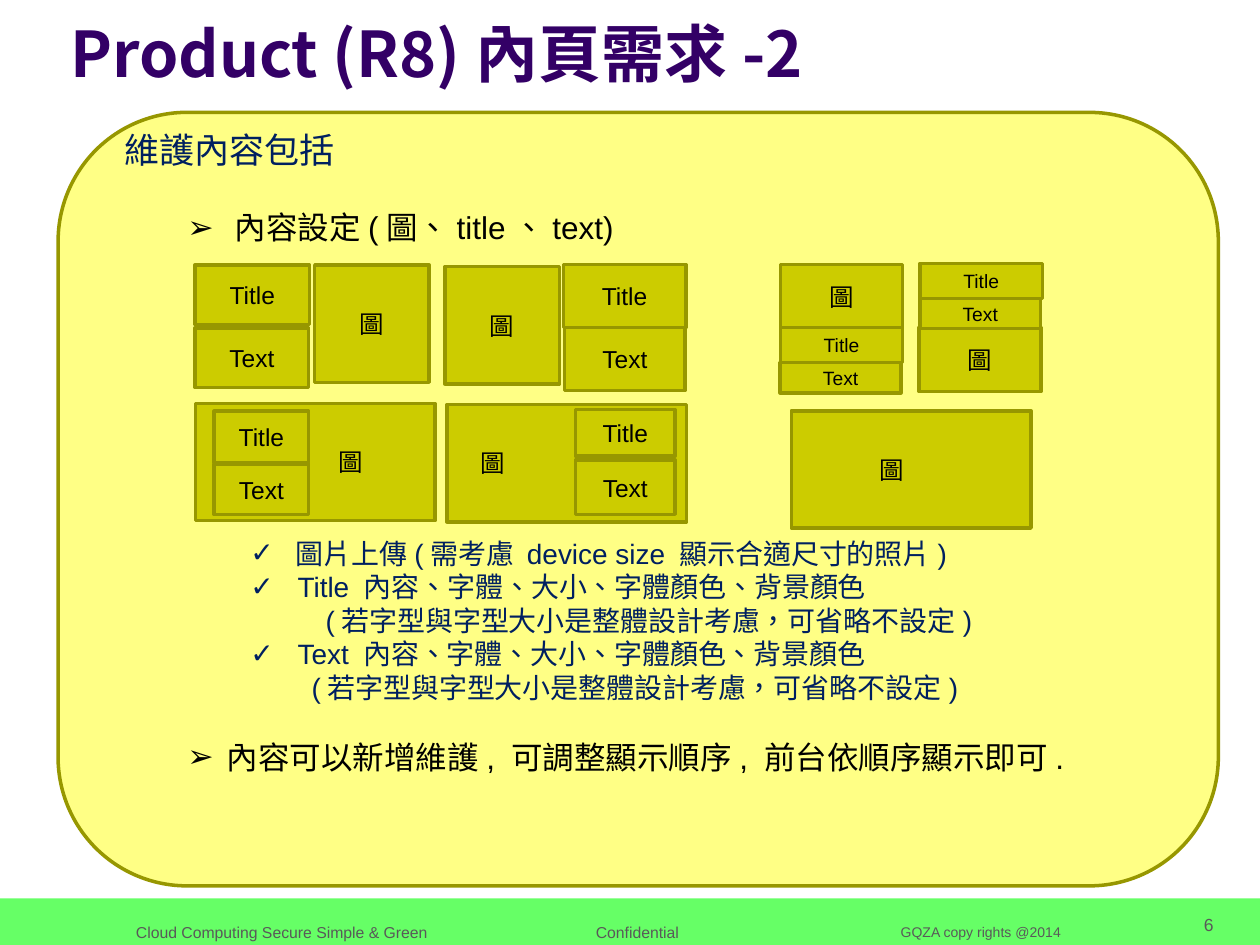
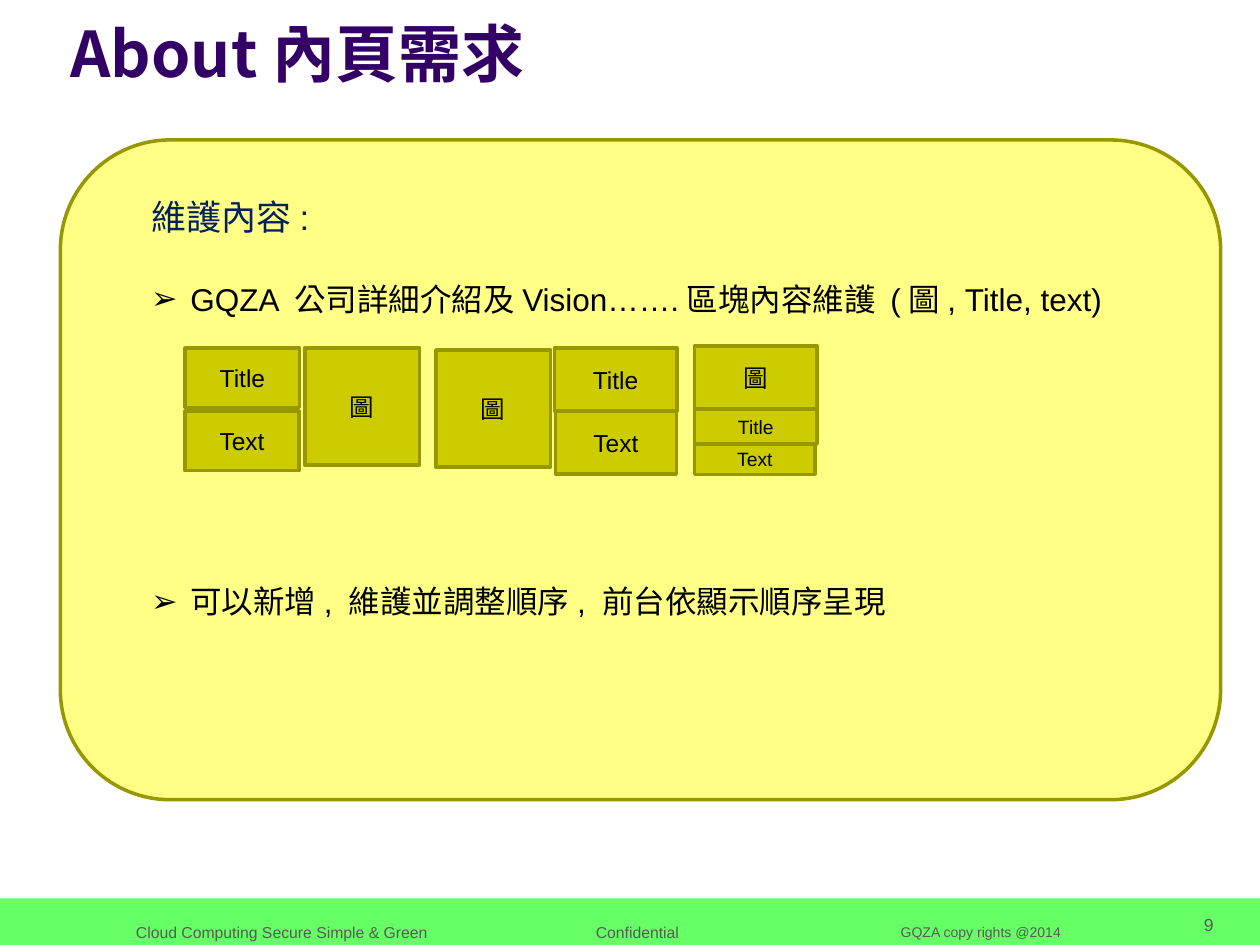
from typing import NamedTuple

from lxml import etree
from pptx import Presentation
from pptx import util as u
from pptx.dml.color import RGBColor
from pptx.enum import lang, shapes, text
from pptx.oxml.ns import qn

Pt = u.Pt
INK, NAVY, PURPLE, GREY = "000000", "002060", "330066", "595959"
GREEN, CREAM, OLIVE, EDGE = "66FF66", "FFFF85", "CCCC00", "979700"
SANS, CJK = "Arial", "Noto Sans CJK SC"
INSET = 7.2
ARROW, CHECK = "➢", "✓"


class Box(NamedTuple):
    x: float
    y: float
    w: float
    h: float


class Line(NamedTuple):
    text: str
    size: float = 18
    color: str = INK
    before: float = 0
    left: float = 0
    hang: float = 0
    bullet: str = ""


class Tile(NamedTuple):
    label: str
    box: Box
    size: float = 14
    shift: float = 0


class Sample(NamedTuple):
    tiles: list[Tile]
    x: float
    y: float


class Footer(NamedTuple):
    label: str
    box: Box
    size: float = 9
    align: text.PP_ALIGN = text.PP_ALIGN.LEFT


class Page(NamedTuple):
    title: str
    number: str
    panel: Box
    body: Box
    lines: list[Line]
    samples: list[Sample]


TEXT_LEFT = [
    Tile("圖", Box(68.4, 0, 65.5, 67)),
    Tile("Title", Box(0, 0, 65.5, 34)),
    Tile("Text", Box(0, 36, 65, 34)),
]
TEXT_RIGHT = [
    Tile("圖", Box(0, 1.2, 65.5, 67)),
    Tile("Title", Box(67.7, 0, 70, 36)),
    Tile("Text", Box(68.4, 36, 69, 36)),
]
TEXT_BELOW = [
    Tile("圖", Box(0, 0, 70, 36.5)),
    Tile("Title", Box(0, 36, 70, 20), 11),
    Tile("Text", Box(0, 56, 69, 17.3), 11),
]
TEXT_ABOVE = [
    Tile("圖", Box(0, 36.7, 70, 36.5)),
    Tile("Title", Box(0.7, 0, 70, 20), 11),
    Tile("Text", Box(0.7, 20, 69, 17.3), 11),
]
INSIDE_LEFT = [
    Tile("圖", Box(0, 0, 137, 67), shift=20),
    Tile("Title", Box(10.8, 4.3, 54, 29.5)),
    Tile("Text", Box(10.8, 34.5, 54, 29)),
]
INSIDE_RIGHT = [
    Tile("圖", Box(0, 0, 137, 67), shift=-42),
    Tile("Title", Box(73.4, 2.9, 57, 26.6)),
    Tile("Text", Box(73.4, 31.7, 57, 31)),
]
IMAGE_ONLY = [Tile("圖", Box(0, 0, 137, 67), shift=-11)]

FOOTERS = [
    Footer("Cloud Computing Secure Simple & Green", Box(70.6, 524, 196, 16)),
    Footer("GQZA copy rights @2014", Box(507.6, 524, 119, 16), 8),
    Footer("Confidential", Box(333.4, 524, 78, 16)),
]

PAGES = [
    Page(
        "Product (R8)內頁需求-2", "6",
        Box(33.2, 64.2, 663, 442), Box(64, 70, 632, 400),
        [
            Line("維護內容包括", 20, NAVY),
            Line("內容設定(圖、title、text)", before=21.6, left=63, hang=27, bullet=ARROW),
            Line("圖片上傳(需考慮 device size 顯示合適尺寸的照片)", 16, NAVY, 165.6, 98, 26, CHECK),
            Line("Title 內容、字體、大小、字體顏色、背景顏色", 16, NAVY, 0, 99, 27, CHECK),
            Line("(若字型與字型大小是整體設計考慮，可省略不設定)", 16, NAVY, 0, 115),
            Line("Text 內容、字體、大小、字體顏色、背景顏色", 16, NAVY, 0, 99, 27, CHECK),
            Line("(若字型與字型大小是整體設計考慮，可省略不設定)", 16, NAVY, 0, 107),
            Line("內容可以新增維護, 可調整顯示順序, 前台依順序顯示即可.",
                 before=19.2, left=58.5, hang=22.5, bullet=ARROW),
        ],
        [
            Sample(TEXT_LEFT, 111.4, 151.5), Sample(TEXT_RIGHT, 254.2, 151.2),
            Sample(TEXT_BELOW, 445.9, 151.2), Sample(TEXT_ABOVE, 525, 150.5),
            Sample(INSIDE_LEFT, 111.6, 230.6), Sample(INSIDE_RIGHT, 255.4, 231.2),
            Sample(IMAGE_ONLY, 452.2, 234.8),
        ],
    ),
    Page(
        "About內頁需求", "9",
        Box(34.5, 80, 663, 377), Box(79.2, 108.4, 572.4, 260),
        [
            Line("維護內容:", 20, NAVY),
            Line("GQZA 公司詳細介紹及Vision…….區塊內容維護 (圖, Title, text)",
                 before=24, left=22.5, hang=22.5, bullet=ARROW),
            Line("可以新增, 維護並調整順序, 前台依顯示順序呈現",
                 before=151.2, left=22.5, hang=22.5, bullet=ARROW),
        ],
        [
            Sample(TEXT_LEFT, 105.8, 198.9), Sample(TEXT_RIGHT, 249.1, 198.8),
            Sample(TEXT_BELOW, 396.9, 197.8),
        ],
    ),
]


def rgb(value: str) -> RGBColor:
    return RGBColor.from_string(value)


def apply(target, **values) -> None:
    for name, value in values.items():
        setattr(target, name, value)


def write(p, label: str, size: float, color: str, font: str = SANS, bold: bool = False) -> None:
    r = p.add_run()
    r.text = label
    apply(r.font, name=font, size=Pt(size), bold=bold,
          language_id=lang.MSO_LANGUAGE_ID.TRADITIONAL_CHINESE)
    r.font.color.rgb = rgb(color)
    if font == CJK:
        etree.SubElement(r.font._element, qn("a:ea")).set("typeface", font)


def place(box: Box) -> list[int]:
    return [Pt(value) for value in box]


def add_box(s, kind, box: Box, fill: str, edge: str = ""):
    sp = s.shapes.add_shape(kind, *place(box))
    sp.shadow.inherit = False
    sp.fill.solid()
    sp.fill.fore_color.rgb = rgb(fill)
    if edge:
        sp.line.color.rgb = rgb(edge)
        sp.line.width = Pt(2)
    else:
        sp.line.fill.background()
    return sp


def add_text_frame(s, box: Box):
    tf = s.shapes.add_textbox(*place(box)).text_frame
    tf.word_wrap = True
    return tf


def add_title(s, label: str) -> None:
    sp = s.shapes.title
    apply(sp, **dict(zip(("left", "top", "width", "height"), place(Box(33.1, 0, 680.4, 55.4)))))
    tf = sp.text_frame
    apply(tf, auto_size=text.MSO_AUTO_SIZE.NONE, word_wrap=True,
          vertical_anchor=text.MSO_ANCHOR.BOTTOM)
    p = tf.paragraphs[0]
    p.alignment = text.PP_ALIGN.LEFT
    write(p, label, 36, PURPLE, CJK, True)


def add_footers(s, number: str) -> None:
    add_box(s, shapes.MSO_SHAPE.RECTANGLE, Box(0, 513.4, 720, 26.6), GREEN)
    page_number = Footer(number, Box(616.3, 519, 84.2, 17.3), 10, text.PP_ALIGN.RIGHT)
    for item in [page_number, *FOOTERS]:
        p = add_text_frame(s, item.box).paragraphs[0]
        p.alignment = item.align
        write(p, item.label, item.size, GREY)


def add_body(s, box: Box, lines: list[Line]) -> None:
    tf = add_text_frame(s, box)
    for i, line in enumerate(lines):
        p = tf.add_paragraph() if i else tf.paragraphs[0]
        apply(p, line_spacing=Pt(line.size * 1.2), space_before=Pt(line.before))
        pr = p._p.get_or_add_pPr()
        pr.set("marL", str(Pt(line.left)))
        pr.set("indent", str(-Pt(line.hang)))
        if line.bullet:
            etree.SubElement(pr, qn("a:buFont")).set("typeface", SANS)
            etree.SubElement(pr, qn("a:buChar")).set("char", line.bullet)
        write(p, line.text, line.size, line.color)


def add_sample(s, sample: Sample) -> None:
    for tile in sample.tiles:
        b = tile.box
        box = Box(sample.x + b.x, sample.y + b.y, b.w, b.h)
        tf = add_box(s, shapes.MSO_SHAPE.RECTANGLE, box, OLIVE, EDGE).text_frame
        apply(tf, word_wrap=True, vertical_anchor=text.MSO_ANCHOR.MIDDLE,
              margin_left=Pt(INSET + max(0, 2 * tile.shift)),
              margin_right=Pt(INSET + max(0, -2 * tile.shift)))
        p = tf.paragraphs[0]
        p.alignment = text.PP_ALIGN.CENTER
        write(p, tile.label, tile.size, INK)


def add_page(prs, page: Page) -> None:
    s = prs.slides.add_slide(prs.slide_layouts[5])
    add_footers(s, page.number)
    add_title(s, page.title)
    add_box(s, shapes.MSO_SHAPE.ROUNDED_RECTANGLE, page.panel, CREAM, EDGE)
    add_body(s, page.body, page.lines)
    for sample in page.samples:
        add_sample(s, sample)


def main() -> None:
    """Build the two requirement slides and save them."""
    prs = Presentation()
    apply(prs, slide_width=Pt(720), slide_height=Pt(540))
    for page in PAGES:
        add_page(prs, page)
    prs.save("out.pptx")


if __name__ == "__main__":
    main()
